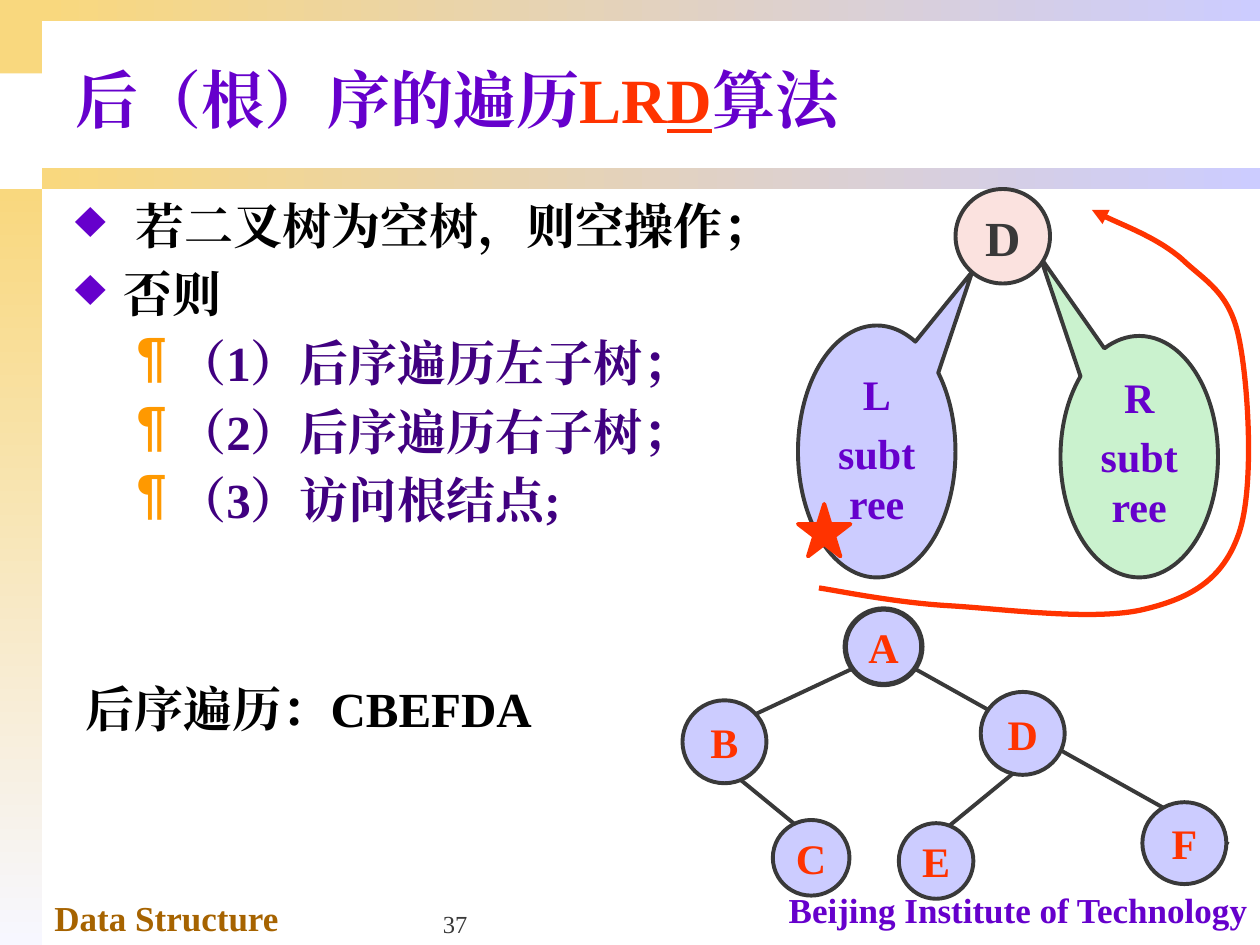
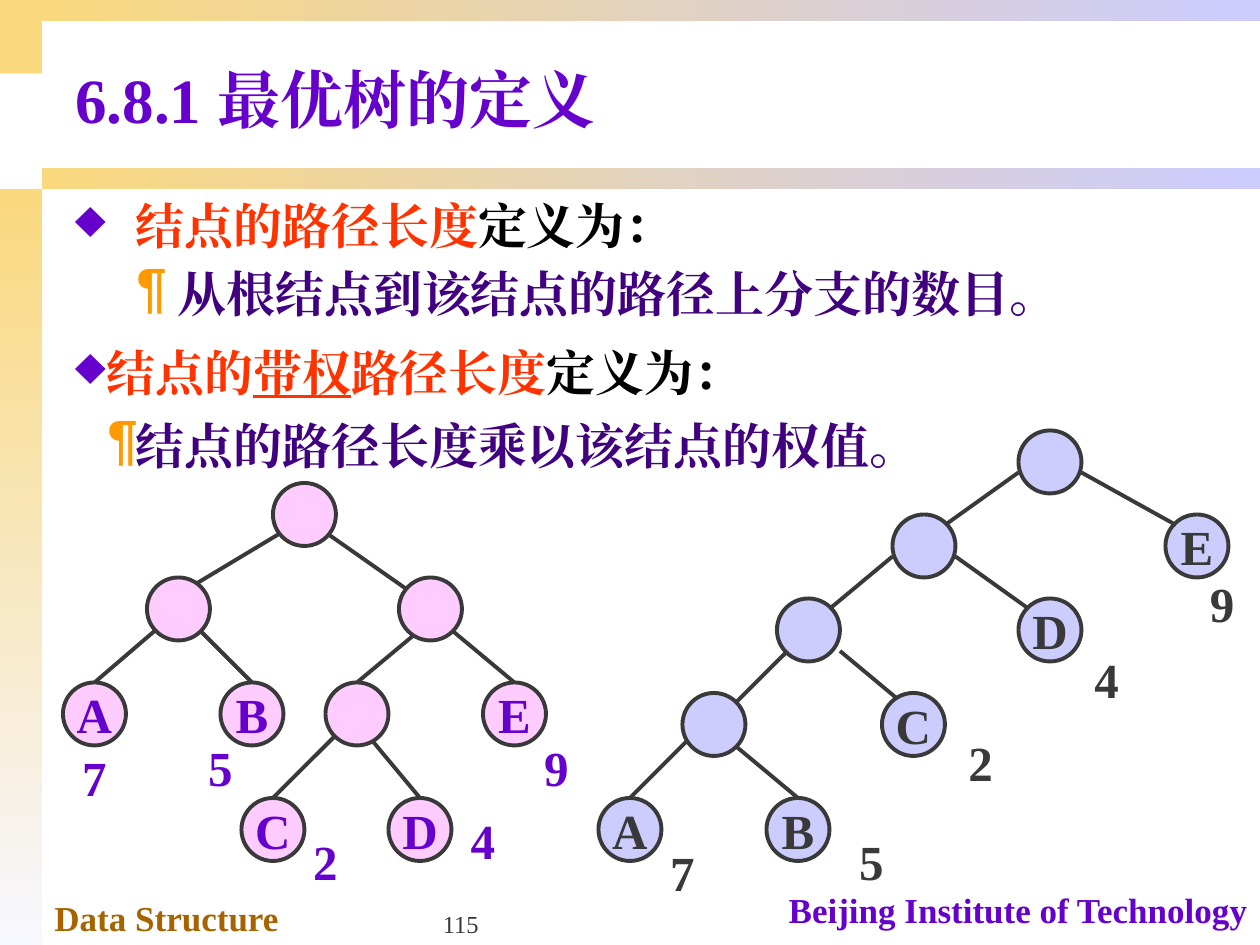
from dataclasses import dataclass
from typing import Optional, Sequence

import pptx
import pptx.dml.color
import pptx.enum.shapes
import pptx.enum.text
import pptx.oxml
import pptx.oxml.ns
import pptx.util

SHAPE = pptx.enum.shapes.MSO_SHAPE
ALIGN = pptx.enum.text.PP_ALIGN
ANCHOR = pptx.enum.text.MSO_ANCHOR
qn = pptx.oxml.ns.qn

COLS, ROWS = 120, 90  # grid over a 10 x 7.5 inch slide
FONT = "Times New Roman"
COLORS = {
    "gold": "F9D87E", "mist": "F7F7FF", "lilac": "CCCCFF", "pink": "FFCCFF",
    "green": "CAF2CE", "rose": "FBE2DF", "purple": "6600CC", "indigo": "400080",
    "brown": "A66300", "orange": "FF9900", "red": "FF3300", "ink": "393939",
    "black": "000000",
}


@dataclass
class Run:
    text: str
    color: str = "black"
    underline: bool = False


@dataclass
class Bullet:
    char: str
    color: str
    percent: int
    margin: float = 0  # inches
    indent: float = 0
    level: int = 0


@dataclass
class Para:
    runs: Sequence[Run]
    bullet: Optional[Bullet] = None


@dataclass
class Box:
    col: float
    row: float
    cols: float
    rows: float


@dataclass
class Node:
    label: str
    col: float
    row: float
    cols: float = 6
    rows: float = 6
    width: float = 2.25


@dataclass
class Tree:
    fill: Optional[str]
    color: str
    size: int
    under: Sequence[Node]  # nodes drawn below the edges
    edges: Sequence[tuple] = ()
    over: Sequence[Node] = ()


POINT = Bullet("♦", "purple", 110, 0.38, -0.38)
STEP = Bullet("¶", "orange", 100, 0.81, -0.31, 1)
TIGHT_POINT = Bullet("♦", "purple", 110)
TIGHT_STEP = Bullet("¶", "orange", 100, 0.27, 0, 1)


def u(n: float) -> int:
    """Length of n grid columns or rows."""
    return round(n * pptx.util.Inches(10) / COLS)


def rgb(name: str) -> pptx.dml.color.RGBColor:
    return pptx.dml.color.RGBColor.from_string(COLORS[name])


def place(b) -> tuple:
    return u(b.col), u(b.row), u(b.cols), u(b.rows)


# ---- text ----
def add_bullet(p, b: Bullet) -> None:
    p.level = b.level
    pPr = p._p.get_or_add_pPr()
    pPr.set("marL", str(pptx.util.Inches(b.margin)))
    pPr.set("indent", str(pptx.util.Inches(b.indent)))
    color = pptx.oxml.ns.nsdecls("a")
    for xml in (f'<a:buClr {color}><a:srgbClr val="{COLORS[b.color]}"/></a:buClr>',
                f'<a:buSzPct {color} val="{b.percent * 1000}"/>',
                f'<a:buChar {color} char="{b.char}"/>'):
        pPr.append(pptx.oxml.parse_xml(xml))


def write(tf, paras: Sequence[Para], size: float, align=ALIGN.LEFT,
          share: float = 0.2, bold: bool = True) -> None:
    for i, para in enumerate(paras):
        p = tf.add_paragraph() if i else tf.paragraphs[0]
        p.alignment = align
        if i:
            p.space_before = pptx.util.Pt(size * share)
        if para.bullet:
            add_bullet(p, para.bullet)
        for run in para.runs:
            r = p.add_run()
            r.text = run.text
            r.font.name, r.font.size, r.font.bold = FONT, pptx.util.Pt(size), bold
            r.font.underline = run.underline
            r.font.color.rgb = rgb(run.color)
            r._r.get_or_add_rPr().find(qn("a:latin")).addnext(pptx.oxml.parse_xml(
                f'<a:ea {pptx.oxml.ns.nsdecls("a")} typeface="{FONT}"/>'))


def add_text(s, box: Box, paras: Sequence[Para], size: float, anchor=ANCHOR.TOP,
             wrap: bool = True, **style) -> None:
    tf = s.shapes.add_textbox(*place(box)).text_frame
    tf.word_wrap, tf.vertical_anchor = wrap, anchor
    write(tf, paras, size, **style)


# ---- shapes ----
def add_filled(s, kind, box, fill: Optional[str], line: Optional[str] = None,
               width: float = 2.25):
    sp = s.shapes.add_shape(kind, *place(box))
    sp.shadow.inherit = False
    if fill:
        sp.fill.solid()
        sp.fill.fore_color.rgb = rgb(fill)
    else:
        sp.fill.background()
    if line:
        sp.line.color.rgb, sp.line.width = rgb(line), pptx.util.Pt(width)
    else:
        sp.line.fill.background()
    return sp


def add_band(s, box: Box, end: str, angle: int) -> None:
    sp = add_filled(s, SHAPE.RECTANGLE, box, "gold")
    sp.fill.gradient()
    sp.fill.gradient_angle = angle
    for stop, name in zip(sp.fill.gradient_stops, ("gold", end)):
        stop.color.rgb = rgb(name)


def add_edge(s, x1: float, y1: float, x2: float, y2: float) -> None:
    line = s.shapes.add_connector(pptx.enum.shapes.MSO_CONNECTOR.STRAIGHT,
                                  u(x1), u(y1), u(x2), u(y2))
    line.line.color.rgb, line.line.width = rgb("ink"), pptx.util.Pt(2.25)
    line._element.spPr.append(pptx.oxml.parse_xml(
        f'<a:effectLst {pptx.oxml.ns.nsdecls("a")}/>'))


def add_node(s, node: Node, tree: Tree) -> None:
    sp = add_filled(s, SHAPE.OVAL, node, tree.fill, tree.fill and "ink", node.width)
    if node.label:
        tf = sp.text_frame
        tf.word_wrap, tf.vertical_anchor = False, ANCHOR.MIDDLE
        write(tf, [Para([Run(node.label, tree.color)])], tree.size, ALIGN.CENTER)


def add_tree(s, tree: Tree) -> None:
    for node in tree.under:
        add_node(s, node, tree)
    for edge in tree.edges:
        add_edge(s, *edge)
    for node in tree.over:
        add_node(s, node, tree)


def add_callout(s, box: Box, side: str, fill: str, tip: tuple, inset: float) -> None:
    sp = add_filled(s, SHAPE.OVAL_CALLOUT, box, fill, "ink")
    sp.adjustments[0], sp.adjustments[1] = tip
    tf = sp.text_frame
    tf.word_wrap, tf.vertical_anchor = True, ANCHOR.TOP
    tf.margin_top = tf.margin_bottom = pptx.util.Inches(inset)
    write(tf, [Para([Run(t, "purple")]) for t in (side, "subtree")], 24, ALIGN.CENTER)


def add_curved_arrow(s, points: Sequence[tuple]) -> None:
    """Start point, then three Bézier points for each curve."""
    start, *rest = [(u(x), u(y)) for x, y in points]
    builder = s.shapes.build_freeform(*start)
    builder.add_line_segments(rest, close=False)
    sp = builder.convert_to_shape()
    sp.shadow.inherit = False
    sp.fill.background()
    sp.line.color.rgb, sp.line.width = rgb("red"), pptx.util.Pt(3)
    ns = pptx.oxml.ns.nsdecls("a")
    sp.line._get_or_add_ln().append(pptx.oxml.parse_xml(f'<a:tailEnd {ns} type="triangle"/>'))
    segments = list(sp._element.iter(qn("a:lnTo")))
    for i in range(0, len(segments), 3):
        curve = pptx.oxml.parse_xml(f"<a:cubicBezTo {ns}/>")
        segments[i].addprevious(curve)
        for segment in segments[i:i + 3]:
            curve.append(segment[0])
            segment.getparent().remove(segment)


# ---- shared frame ----
def new_slide(prs, number: int, title: Sequence[Run]):
    s = prs.slides.add_slide(prs.slide_layouts[6])
    add_filled(s, SHAPE.RECTANGLE, Box(0, 0, 4, 7), "gold")
    add_band(s, Box(0, 18, 4, ROWS - 18), "mist", 270)
    for row in (16, 0):
        add_band(s, Box(4, row, COLS - 4, 2), "lilac", 0)
    add_text(s, Box(4, 84.8, 42, 5.2), [Para([Run("Data Structure", "brown")])], 20)
    add_text(s, Box(73, 84, 47, 5.2),
             [Para([Run("Beijing Institute of Technology", "purple")])], 20,
             align=ALIGN.RIGHT)
    add_text(s, Box(41, 84, 25, 6), [Para([Run(str(number), "ink")])], 14,
             ANCHOR.BOTTOM, bold=False)
    add_text(s, Box(6, 3, 114, 12.8), [Para(title)], 36, ANCHOR.MIDDLE)
    return s


# ---- slides ----
def postorder_slide(prs) -> None:
    s = new_slide(prs, 37, [Run("后（根）序的遍历", "purple"), Run("LR", "red"),
                            Run("D", "red", True), Run("算法", "purple")])
    steps = ("（1）后序遍历左子树；", "（2）后序遍历右子树；", "（3）访问根结点;")
    add_text(s, Box(6, 18, 74, 65),
             [Para([Run(t)], POINT) for t in (" 若二叉树为空树，则空操作；", "否则")]
             + [Para([Run(t, "indigo")], STEP) for t in steps], 28)

    # Root with its two subtrees
    add_callout(s, Box(76, 31, 15, 24), "L", "lilac", (0.607, -0.714), 0.05)
    add_callout(s, Box(101, 32, 15, 23), "R", "green", (-0.629, -0.827), 0)
    add_filled(s, SHAPE.OVAL, Box(91, 18, 9, 9), "rose", "ink")
    add_text(s, Box(91, 19.2, 9, 6.8), [Para([Run("D", "ink")])], 28, align=ALIGN.CENTER)
    add_filled(s, SHAPE.STAR_5_POINT, Box(76, 48, 5, 5), "red", "red")
    add_curved_arrow(s, [
        (78, 56),
        (80, 56.3), (85.3, 57.4), (90.5, 57.7),
        (95.6, 58), (104.4, 59.2), (109.1, 58),
        (113.6, 56.9), (116.5, 55.1), (118, 50.8),
        (119.5, 46.4), (118.9, 36.5), (118, 32.2),
        (117.1, 27.8), (114.8, 26.8), (112.6, 24.7),
        (110.3, 22.7), (105.8, 21), (104, 20)])

    # Example tree
    add_tree(s, Tree(
        "lilac", "red", 24, (),
        [(97.3, 73, 89, 79.8), (86.6, 63.4, 117, 80.4),
         (81.8, 63.4, 66, 70.8), (70.2, 74, 78.5, 80.8)],
        [Node("A", 80.5, 58, 7.3, 7.2, 3), Node("B", 65, 66.7, 8, 7.9),
         Node("C", 73.6, 78.1, 7.3, 7.2), Node("D", 93.4, 65.9, 8, 7.9),
         Node("F", 108.8, 76.4, 8, 7.8), Node("E", 85.6, 78.4, 7.1, 7.2)]))
    add_text(s, Box(7, 64, 50, 6.8), [Para([Run("后序遍历：CBEFDA")])], 28)


def optimal_tree_slide(prs) -> None:
    s = new_slide(prs, 115, [Run("6.8.1 最优树的定义", "purple")])
    add_text(s, Box(6, 18, 114, 65), [
        Para([Run(" "), Run("结点的路径长度", "red"), Run("定义为：")], POINT),
        Para([Run("从根结点到该结点的路径上分支的数目。", "indigo")], STEP)], 28)

    # Left tree and its weights
    add_tree(s, Tree(
        "pink", "purple", 28,
        [Node("C", 23, 76), Node("E", 46, 65), Node("D", 37, 76),
         Node("A", 6, 65), Node("B", 21, 65)],
        [(28, 50, 18, 56), (30, 50, 40, 57), (40, 60, 34, 65), (43, 60, 49, 65),
         (33, 69, 26, 76), (35, 70, 40, 76), (16, 59, 9, 65), (18, 59, 24, 65)],
        [Node("", 14, 55), Node("", 38, 55), Node("", 31, 65), Node("", 26, 46)]))
    add_tree(s, Tree(None, "purple", 28, [
        Node("7", 6, 71), Node("5", 18, 70), Node("2", 28, 79),
        Node("4", 43, 77), Node("9", 50, 70)]))

    add_text(s, Box(6, 32, 107, 14.2), [
        Para([Run("结点的", "red"), Run("带权", "red", True), Run("路径长度", "red"),
              Run("定义为：")], TIGHT_POINT),
        Para([Run("结点的路径长度乘以该结点的权值。", "indigo")], TIGHT_STEP)],
        28, share=0.3)

    # Right tree and its weights
    add_tree(s, Tree(None, "ink", 28, [Node("7", 62, 80), Node("5", 80, 79)]))
    for weight, col, row in (("2", 91, 69.2), ("4", 103, 61.3), ("9", 114, 54)):
        add_text(s, Box(col, row, 4.8, 6.8), [Para([Run(weight, "ink")])], 28,
                 wrap=False, align=ALIGN.CENTER)
    add_tree(s, Tree(
        "lilac", "ink", 28,
        [Node("", 97, 41), Node("", 85, 49), Node("E", 111, 49),
         Node("", 74, 57), Node("D", 97, 57), Node("A", 57, 76)],
        [(103, 45, 112, 50), (97, 45, 90, 50), (91, 53, 98, 58), (85, 53, 79, 58),
         (66, 70, 60, 76), (70, 71, 76, 76), (80, 62, 86, 67), (75, 62, 70, 67)],
        [Node("B", 73, 76), Node("C", 84, 66), Node("", 65, 66)]))


def main() -> None:
    prs = pptx.Presentation()
    prs.slide_width, prs.slide_height = u(COLS), u(ROWS)
    postorder_slide(prs)
    optimal_tree_slide(prs)
    prs.save("out.pptx")


if __name__ == "__main__":
    main()
